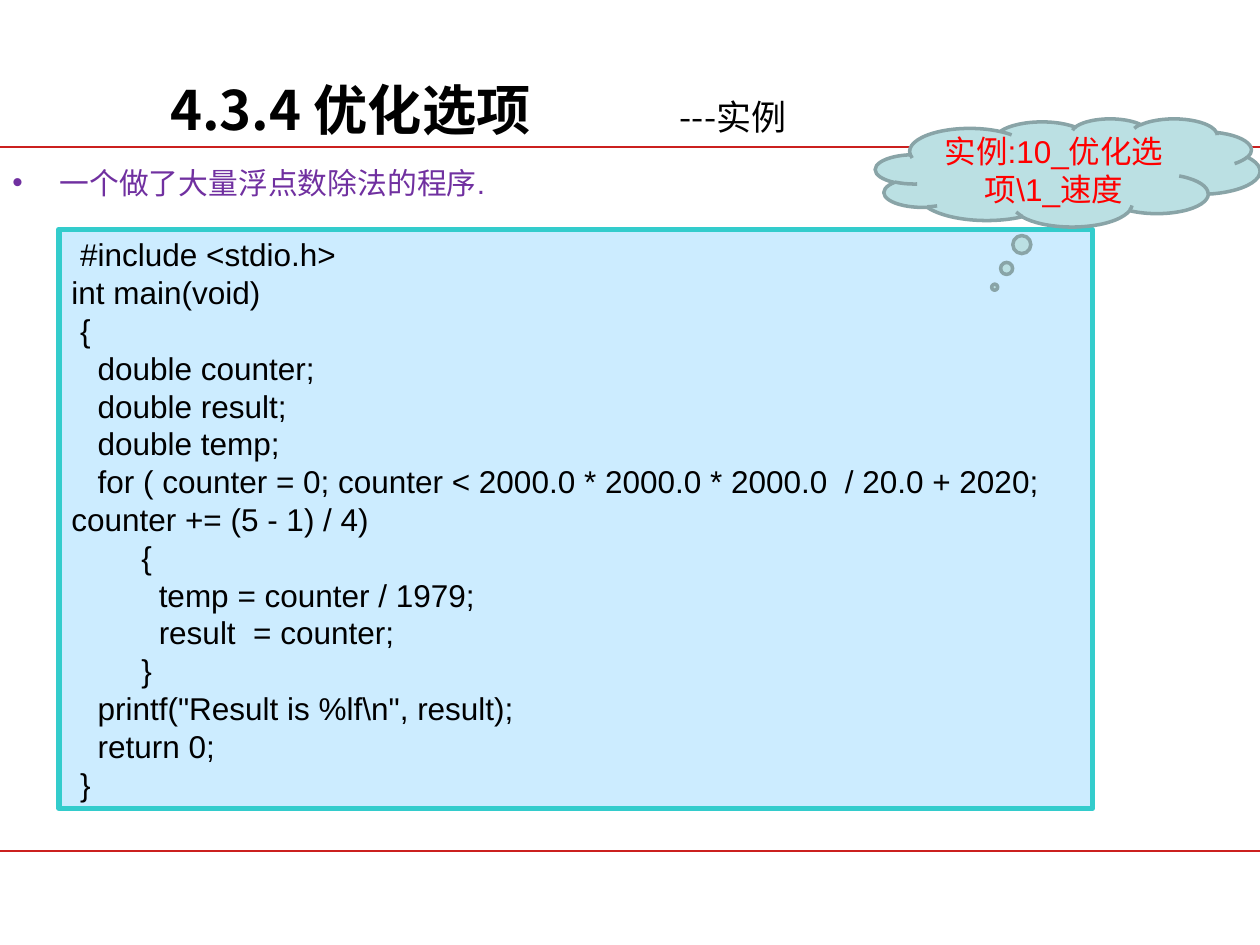
import pptx
import pptx.util
import pptx.dml.color
import pptx.enum.shapes
import pptx.enum.text
import pptx.oxml
import pptx.oxml.ns
from lxml import etree

Cm = pptx.util.Cm
Pt = pptx.util.Pt
SHAPE = pptx.enum.shapes.MSO_SHAPE
ALIGN = pptx.enum.text.PP_ALIGN
ANCHOR = pptx.enum.text.MSO_ANCHOR
SLIDE_WIDTH = 25.4
CJK_FONT = "Noto Sans CJK SC"

CODE = r''' #include <stdio.h>
int main(void)
 {
   double counter;
   double result;
   double temp;
   for ( counter = 0; counter < 2000.0 * 2000.0 * 2000.0  / 20.0 + 2020;    counter += (5 - 1) / 4)
        {
          temp = counter / 1979;
          result  = counter;
        }
   printf("Result is %lf\n", result);
   return 0;
 }'''


def color(value):
    return pptx.dml.color.RGBColor.from_string(value)


def add_element(parent, tag, **attributes):
    return etree.SubElement(parent, pptx.oxml.ns.qn(tag), **attributes)


def set_font(font, size, value, name="Arial"):
    font.name = name
    font.size = Pt(size)
    font.color.rgb = color(value)


def add_rule(s, y):
    line = s.shapes.add_connector(
        pptx.enum.shapes.MSO_CONNECTOR.STRAIGHT, Cm(0), Cm(y), Cm(SLIDE_WIDTH), Cm(y))
    line.line.color.rgb = color("CB201F")
    line.line.width = Pt(1)
    add_element(line._element.spPr, "a:effectLst")


def set_title(s, heading, subtitle):
    sp = s.shapes.title
    sp.left, sp.top, sp.width, sp.height = Cm(3.18), Cm(1.4), Cm(20.75), Cm(1.6)
    tf = sp.text_frame
    tf.auto_size = pptx.enum.text.MSO_AUTO_SIZE.NONE
    tf.vertical_anchor = ANCHOR.MIDDLE
    p = tf.paragraphs[0]
    p.alignment = ALIGN.LEFT
    tabs = add_element(p._p.get_or_add_pPr(), "a:tabLst")
    add_element(tabs, "a:tab", pos=str(int(Cm(10.27))), algn="l")
    for text, size, bold in ((heading + "\t", 31, True), (subtitle, 20, False)):
        r = p.add_run()
        r.text = text
        set_font(r.font, size, "000000", CJK_FONT)
        r.font.bold = bold
        add_element(r._r.get_or_add_rPr(), "a:ea", typeface=CJK_FONT)


def add_bullet(s, text):
    sp = s.shapes.add_textbox(Cm(0), Cm(3.18), Cm(13.7), Cm(1))
    tf = sp.text_frame
    tf.word_wrap = True
    tf.vertical_anchor = ANCHOR.MIDDLE
    p = tf.paragraphs[0]
    p.text = text
    props = p._p.get_or_add_pPr()
    props.set("marL", str(int(Cm(0.95))))
    props.set("indent", str(-int(Cm(0.95))))
    add_element(props, "a:buFont", typeface="Arial")
    add_element(props, "a:buChar", char="•")
    set_font(p.font, 17, "7030A0")


def add_panel(s, kind, box, fill, outline, width, text, text_color, align):
    sp = s.shapes.add_shape(kind, *map(Cm, box))
    sp.shadow.inherit = False
    sp.fill.solid()
    sp.fill.fore_color.rgb = color(fill)
    sp.line.color.rgb = color(outline)
    sp.line.width = Pt(width)
    tf = sp.text_frame
    tf.word_wrap = True
    tf.vertical_anchor = ANCHOR.MIDDLE
    tf.text = text
    for p in tf.paragraphs:
        p.alignment = align
        p.line_spacing = Pt(21.6)
        set_font(p.font, 18, text_color)
    return sp


def main():
    prs = pptx.Presentation()
    prs.slide_width, prs.slide_height = Cm(SLIDE_WIDTH), Cm(19.05)
    s = prs.slides.add_slide(prs.slide_layouts[5])
    for y in (2.97, 17.15):
        add_rule(s, y)
    set_title(s, "4.3.4 优化选项", "---实例")
    add_bullet(s, "一个做了大量浮点数除法的程序.")
    add_panel(s, SHAPE.RECTANGLE, (1.19, 4.62, 20.83, 11.68),
              "CCECFF", "33CCCC", 3, CODE, "000000", ALIGN.LEFT)
    cloud = add_panel(s, SHAPE.CLOUD_CALLOUT, (17.65, 2.39, 7.75, 2.18),
                      "BBE0E3", "89A4A7", 2, r"实例:10_优化选项\1_速度", "FF0000", ALIGN.CENTER)
    cloud.adjustments[0] = -0.19
    cloud.adjustments[1] = 1.06
    prs.save("out.pptx")


if __name__ == "__main__":
    main()
